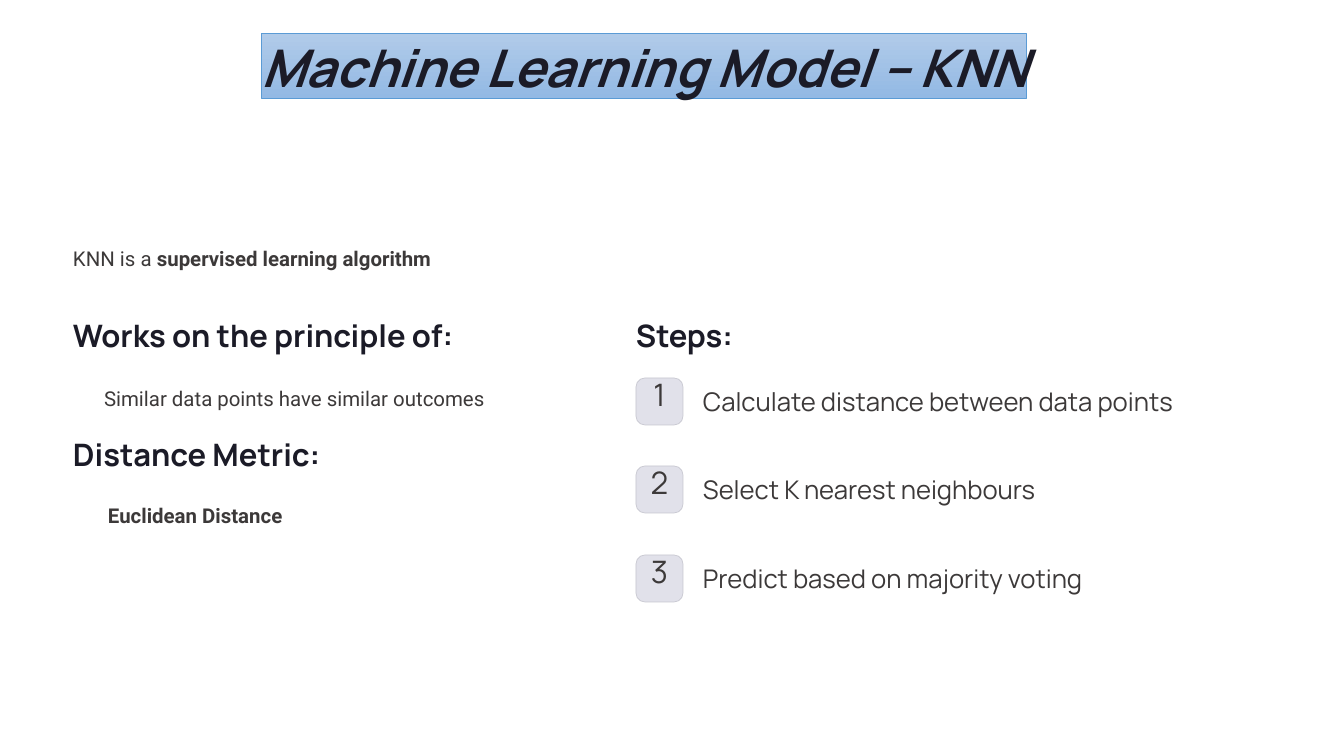
"""Builds the slide that explains the KNN machine learning model."""
import pptx
import pptx.dml.color
import pptx.enum.shapes
import pptx.enum.text
import pptx.util

PX = 914400 // 84
COLORS = {
    "heading": "1B1B27",
    "body": "3C3939",
    "title_top": "B1CBE9",
    "title_bottom": "93B9E4",
    "title_line": "5B9BD5",
    "badge": "E1E1EA",
    "badge_line": "C7C7D0",
}
STYLES = {
    "title": ("Manrope", 44.5, 55.5, "heading"),
    "heading": ("Manrope", 26.5, 33, "heading"),
    "body": ("Roboto", 17.5, 28.5, "body"),
    "number": ("Manrope", 26.5, 26.5, "body"),
    "step": ("Manrope", 22, 27.5, "body"),
}
STEPS = [
    "Calculate distance between data points",
    "Select K nearest neighbours",
    "Predict based on majority voting",
]


def rgb(name):
    return pptx.dml.color.RGBColor.from_string(COLORS[name])


def write(shape, runs, style, align="LEFT", italic=False):
    font_name, size, spacing, color = STYLES[style]
    frame = shape.text_frame
    frame.margin_left = frame.margin_right = 0
    frame.margin_top = frame.margin_bottom = 0
    frame.word_wrap = False
    frame.auto_size = pptx.enum.text.MSO_AUTO_SIZE.NONE
    frame.vertical_anchor = pptx.enum.text.MSO_ANCHOR.TOP
    para = frame.paragraphs[0]
    para.alignment = pptx.enum.text.PP_ALIGN[align]
    para.line_spacing = pptx.util.Pt(spacing)
    for text, bold in runs:
        span = para.add_run()
        span.text = text
        span.font.name = font_name
        span.font.size = pptx.util.Pt(size)
        span.font.bold = bold
        span.font.italic = italic
        span.font.color.rgb = rgb(color)


def add_panel(page, kind, left, top, width, height, line_color, line_width):
    panel = page.shapes.add_shape(
        pptx.enum.shapes.MSO_SHAPE[kind], left * PX, top * PX, width * PX, height * PX)
    panel.shadow.inherit = False
    panel.line.color.rgb = rgb(line_color)
    panel.line.width = pptx.util.Pt(line_width)
    return panel


def add_title(page, text):
    panel = add_panel(page, "RECTANGLE", 261, 33, 765, 65, "title_line", 0.5)
    panel.fill.gradient()
    panel.fill.gradient_angle = 270
    for stop, color in zip(panel.fill.gradient_stops, ("title_top", "title_bottom")):
        stop.color.rgb = rgb(color)
    title = page.shapes.title
    title.element.addprevious(panel.element)
    title.left, title.top, title.width, title.height = 261 * PX, 33 * PX, 840 * PX, 65 * PX
    write(title, [(text, True)], "title", italic=True)


def add_text(page, left, top, width, height, runs, style, align="LEFT"):
    box = page.shapes.add_textbox(left * PX, top * PX, width * PX, height * PX)
    write(box, runs, style, align)


def add_heading(page, left, top, text):
    add_text(page, left, top, 367, 39, [(text, True)], "heading")


def add_step(page, top, number, text):
    badge = add_panel(page, "ROUNDED_RECTANGLE", 636, top, 47, 47, "badge_line", 0.6)
    badge.adjustments[0] = 0.19
    badge.fill.solid()
    badge.fill.fore_color.rgb = rgb("badge")
    add_text(page, 644, top + 4, 31, 39, [(str(number), False)], "number", "CENTER")
    add_text(page, 703, top + 7, 475, 33, [(text, False)], "step")


def main():
    deck = pptx.Presentation()
    deck.slide_width, deck.slide_height = 1344 * PX, 756 * PX
    page = deck.slides.add_slide(deck.slide_layouts[5])

    add_title(page, "Machine Learning Model – KNN")
    add_text(page, 73, 237, 1198, 34,
             [("KNN is a ", False), ("supervised learning algorithm", True)], "body")
    add_heading(page, 73, 315, "Works on the principle of:")
    add_text(page, 104, 377, 480, 34,
             [("Similar data points have similar outcomes", False)], "body")
    add_heading(page, 73, 434, "Distance Metric:")
    add_text(page, 108, 494, 476, 34, [("Euclidean Distance", True)], "body")

    add_heading(page, 636, 315, "Steps:")
    for index, text in enumerate(STEPS):
        add_step(page, 378 + index * 177 // 2, index + 1, text)

    deck.save("out.pptx")


if __name__ == "__main__":
    main()
